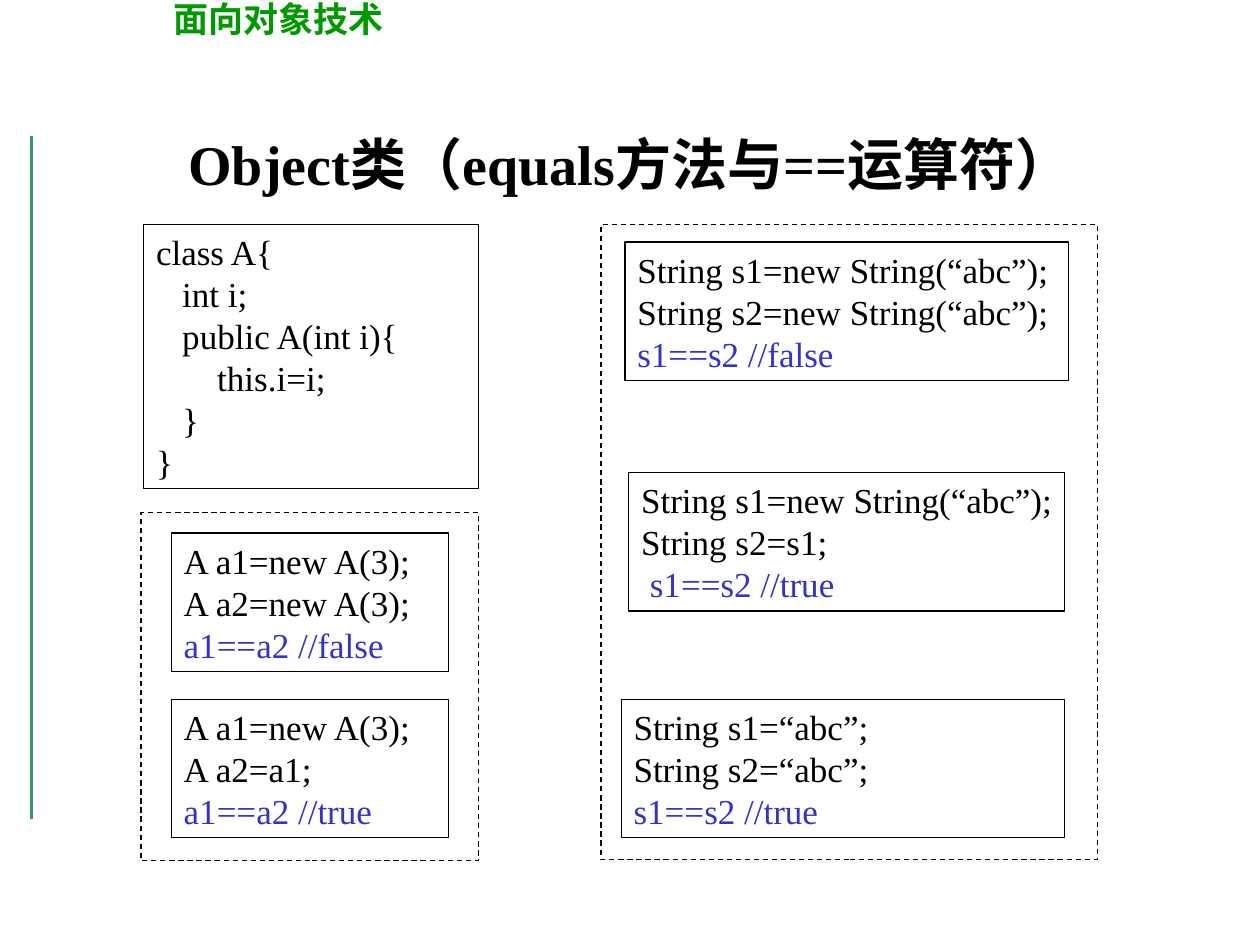
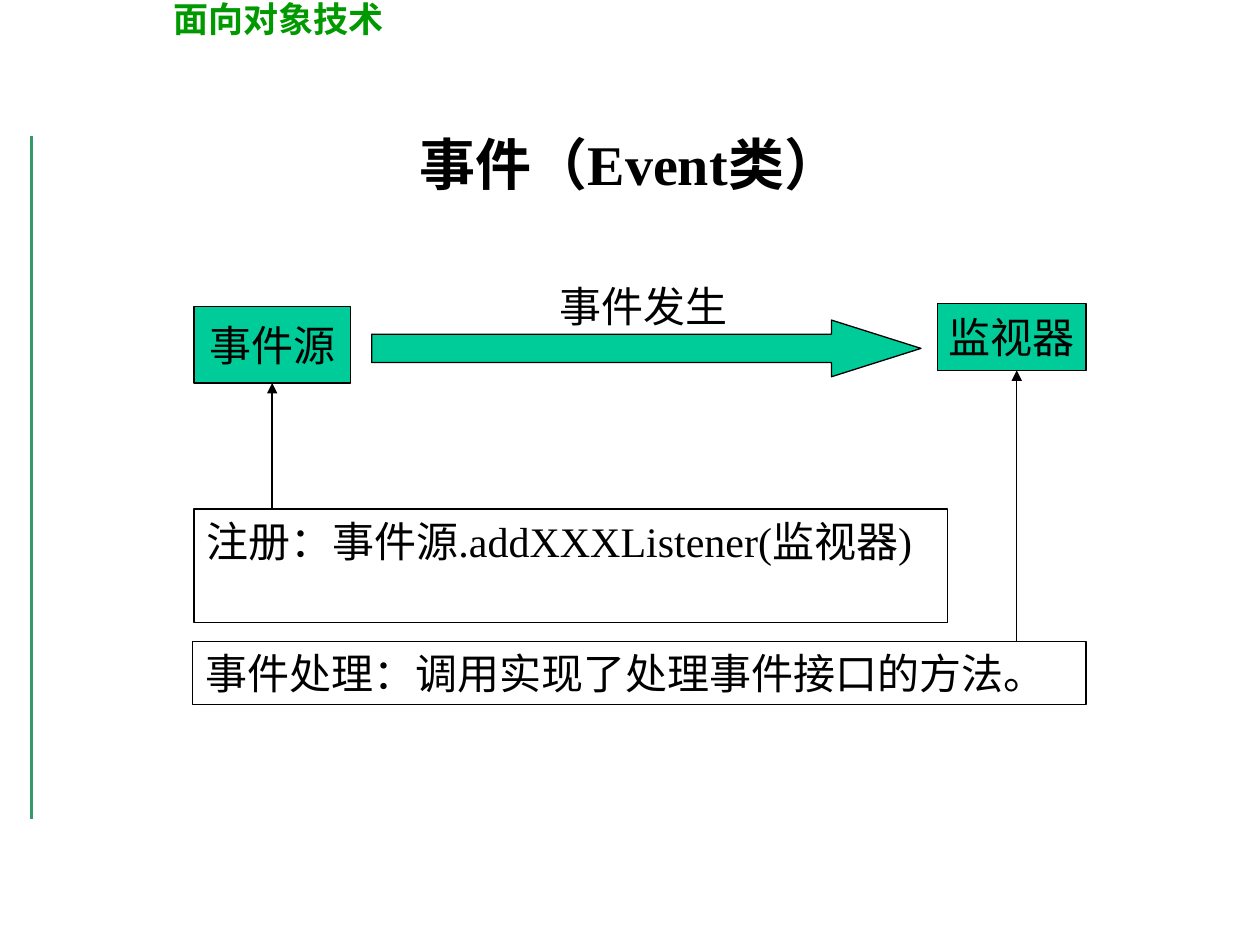
from dataclasses import dataclass
from typing import Any

import lxml.etree
import pptx
import pptx.dml.color
import pptx.enum.dml
import pptx.enum.shapes
import pptx.enum.text
import pptx.oxml.ns
import pptx.util

Inches = pptx.util.Inches
Pt = pptx.util.Pt
qn = pptx.oxml.ns.qn
ALIGN = pptx.enum.text.PP_ALIGN
ANCHOR = pptx.enum.text.MSO_ANCHOR
SHAPE = pptx.enum.shapes.MSO_SHAPE


# Theme
@dataclass(frozen=True)
class Theme:
    ink: str = "000000"
    result: str = "3333CC"
    header: str = "009900"
    rule: str = "339966"
    node: str = "00CC99"
    latin: str = "Times New Roman"
    east_asian: str = "Noto Sans CJK SC"
    title_size: int = 32
    label_size: int = 24
    code_size: int = 20
    leading: float = 1.2
    thin: float = 0.75
    thick: float = 2.25


THEME = Theme()


@dataclass(frozen=True)
class Area:
    left: float
    top: float
    width: float
    height: float

    def lengths(self) -> list[int]:
        return [Inches(v) for v in (self.left, self.top, self.width, self.height)]


@dataclass(frozen=True)
class TextStyle:
    size: int
    color: str = THEME.ink
    bold: bool = False
    align: Any = ALIGN.LEFT
    anchor: Any = ANCHOR.TOP
    wrap: bool = True
    indent: float = 0
    right_margin: float = 0.1


@dataclass(frozen=True)
class CodeBox:
    area: Area
    lines: tuple[str, ...]


@dataclass(frozen=True)
class CodeGroup:
    frame: Area
    boxes: tuple[CodeBox, ...]


TITLE = TextStyle(THEME.title_size, bold=True, align=ALIGN.CENTER, anchor=ANCHOR.MIDDLE)
HEADER = TextStyle(THEME.code_size, THEME.header, bold=True, indent=0.45)
# Code lines nearly fill their boxes, so they get a narrow right margin
CODE = TextStyle(THEME.code_size, right_margin=0.02)
NOTE = TextStyle(THEME.label_size)
LABEL = TextStyle(THEME.label_size, wrap=False)
NODE = TextStyle(THEME.label_size, align=ALIGN.CENTER, anchor=ANCHOR.MIDDLE, wrap=False)

TITLE_AREA = Area(0.75, 0.67, 8.5, 1.25)
HEADER_AREA = Area(0.83, -0.07, 5.75, 0.44)


def rgb(color: str) -> pptx.dml.color.RGBColor:
    return pptx.dml.color.RGBColor.from_string(color)


def apply(target: Any, values: dict[str, Any]) -> None:
    for key, value in values.items():
        setattr(target, key, value)


# Text
def write(box: Any, lines: tuple[str, ...], style: TextStyle) -> None:
    frame = box.text_frame
    apply(frame, {
        "word_wrap": style.wrap,
        "vertical_anchor": style.anchor,
        "margin_left": Inches(0.1),
        "margin_right": Inches(style.right_margin),
        "margin_top": Inches(0.05),
        "margin_bottom": Inches(0.05),
    })
    for index, line in enumerate(lines):
        para = frame.add_paragraph() if index else frame.paragraphs[0]
        apply(para, {"alignment": style.align,
                     "line_spacing": Pt(style.size * THEME.leading)})
        if style.indent:
            para._p.get_or_add_pPr().set("marL", str(Inches(style.indent)))
        span = para.add_run()
        span.text = line
        apply(span.font, {"name": THEME.latin, "size": Pt(style.size),
                          "bold": style.bold})
        # Comparison results stand out from the code above them
        is_result = "//" in line
        span.font.color.rgb = rgb(THEME.result if is_result else style.color)
        east_asian = lxml.etree.Element(qn("a:ea"), typeface=THEME.east_asian)
        span._r.get_or_add_rPr().find(qn("a:latin")).addnext(east_asian)


def add_text(page: Any, area: Area, text: str, style: TextStyle) -> None:
    write(page.shapes.add_textbox(*area.lengths()), (text,), style)


# Shapes and lines
def add_outline(shapes: Any, area: Area, fill: str = "",
                preset: Any = SHAPE.RECTANGLE) -> Any:
    box = shapes.add_shape(preset, *area.lengths())
    box.shadow.inherit = False
    if fill:
        box.fill.solid()
        box.fill.fore_color.rgb = rgb(fill)
    else:
        box.fill.background()
    box.line.color.rgb = rgb(THEME.ink)
    box.line.width = Pt(THEME.thin)
    return box


def add_boxed(shapes: Any, area: Area, lines: tuple[str, ...],
              style: TextStyle, fill: str = "") -> Any:
    box = add_outline(shapes, area, fill)
    write(box, lines, style)
    return box


def add_line(page: Any, start: tuple[float, float], end: tuple[float, float],
             color: str, width: float, arrow: bool = False) -> Any:
    line = page.shapes.add_connector(
        pptx.enum.shapes.MSO_CONNECTOR.STRAIGHT,
        *[Inches(v) for v in (*start, *end)])
    line.line.color.rgb = rgb(color)
    line.line.width = Pt(width)
    properties = line._element.spPr
    if arrow:
        lxml.etree.SubElement(properties.find(qn("a:ln")), qn("a:tailEnd"),
                              type="triangle")
    lxml.etree.SubElement(properties, qn("a:effectLst"))
    return line


def add_code_group(page: Any, group: CodeGroup) -> None:
    shapes = page.shapes.add_group_shape().shapes
    for box in group.boxes:
        add_boxed(shapes, box.area, box.lines, CODE)
    frame = add_outline(shapes, group.frame)
    frame.line.dash_style = pptx.enum.dml.MSO_LINE.DASH


# Parts shared by all slides
def add_page(deck: Any, title: str) -> Any:
    page = deck.slides.add_slide(deck.slide_layouts[6])
    add_line(page, (0.25, 1.08), (0.25, 6.5), THEME.rule, THEME.thick)
    add_text(page, HEADER_AREA, "面向对象技术", HEADER)
    add_text(page, TITLE_AREA, title, TITLE)
    return page


# Slide 1: equals and ==
CLASS_A = CodeBox(Area(1.14, 1.78, 2.66, 2.1), (
    "class A{", "   int i;", "   public A(int i){", "       this.i=i;", "   }", "}"))

COMPARISONS = (
    CodeGroup(Area(1.12, 4.07, 2.68, 2.76), (
        CodeBox(Area(1.36, 4.23, 2.2, 1.1),
                ("A a1=new A(3);", "A a2=new A(3);", "a1==a2 //false")),
        CodeBox(Area(1.36, 5.55, 2.2, 1.1),
                ("A a1=new A(3);", "A a2=a1;", "a1==a2 //true")),
    )),
    CodeGroup(Area(4.77, 1.78, 3.94, 5.04), (
        CodeBox(Area(4.96, 1.92, 3.52, 1.1),
                ("String s1=new String(“abc”);", "String s2=new String(“abc”);",
                 "s1==s2 //false")),
        CodeBox(Area(4.99, 3.75, 3.46, 1.1),
                ("String s1=new String(“abc”);", "String s2=s1;",
                 " s1==s2 //true")),
        CodeBox(Area(4.93, 5.55, 3.52, 1.1),
                ("String s1=“abc”;", "String s2=“abc”;", "s1==s2 //true")),
    )),
)


def build_equals_page(deck: Any) -> None:
    page = add_page(deck, "Object类（equals方法与==运算符）")
    add_boxed(page.shapes, CLASS_A.area, CLASS_A.lines, CODE)
    for group in COMPARISONS:
        add_code_group(page, group)


# Slide 2: event source and listener
def build_event_page(deck: Any) -> None:
    page = add_page(deck, "事件（Event类）")
    add_boxed(page.shapes, Area(7.44, 2.41, 1.18, 0.53), ("监视器",), NODE, THEME.node)
    source = add_boxed(page.shapes, Area(1.54, 2.43, 1.24, 0.61), ("事件源",),
                       NODE, THEME.node)
    add_boxed(page.shapes, Area(1.54, 4.04, 5.98, 0.9),
              ("注册：事件源.addXXXListener(监视器)",), NOTE)
    registration = add_line(page, (2.16, 4.04), (2.16, 3.04),
                            THEME.ink, THEME.thin, arrow=True)
    registration.end_connect(source, 2)

    event_arrow = add_outline(page.shapes, Area(2.95, 2.54, 4.36, 0.45),
                              THEME.node, SHAPE.RIGHT_ARROW)
    event_arrow.adjustments[0] = 0.5
    event_arrow.adjustments[1] = 1.58
    add_text(page, Area(4.34, 2.18, 1.53, 0.5), "事件发生", LABEL)

    add_boxed(page.shapes, Area(1.53, 5.09, 7.09, 0.5),
              ("事件处理：调用实现了处理事件接口的方法。",), NOTE)
    add_line(page, (8.07, 5.09), (8.07, 2.94), THEME.ink, THEME.thin, arrow=True)


def main() -> None:
    deck = pptx.Presentation()
    deck.slide_width = Inches(10)
    deck.slide_height = Inches(7.5)
    build_equals_page(deck)
    build_event_page(deck)
    deck.save("out.pptx")


if __name__ == "__main__":
    main()
